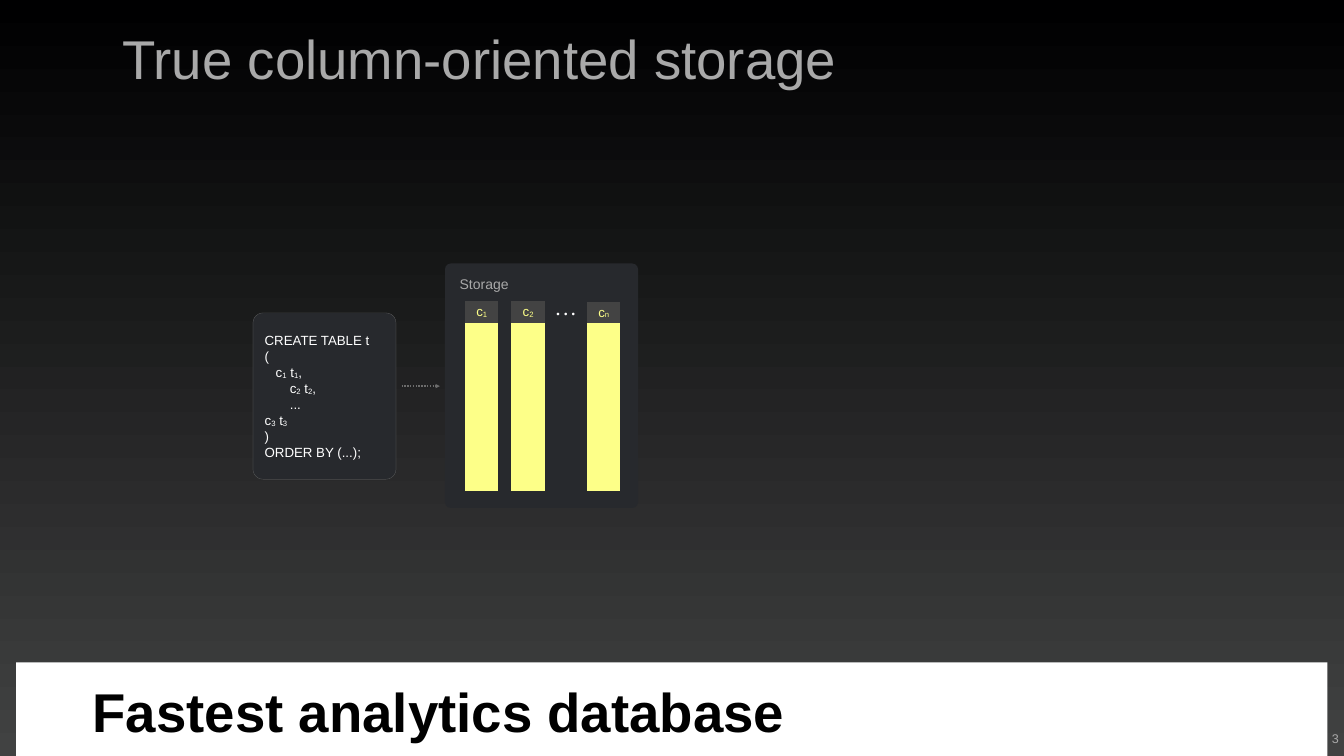
import pptx
import pptx.dml.color
import pptx.enum.dml
import pptx.enum.shapes
import pptx.enum.text
import pptx.oxml
import pptx.oxml.ns
import pptx.util

Cm = pptx.util.Cm
Pt = pptx.util.Pt
SHAPE = pptx.enum.shapes.MSO_SHAPE
ALIGN = pptx.enum.text.PP_ALIGN
ANCHOR = pptx.enum.text.MSO_ANCHOR

COLOURS = {
    "top": "000001", "bottom": "414242", "white": "FFFFFF", "black": "000000",
    "muted": "A9A9A9", "panel": "27292D", "edge": "6C6C6C",
    "header": "434343", "yellow": "FDFF88",
}
NO_TABLE_STYLE = "{2D5ABB26-0587-4C30-8999-92F81FD0307C}"


def rgb(name):
    return pptx.dml.color.RGBColor.from_string(COLOURS[name])


def element(tag, **attributes):
    node = pptx.oxml.parse_xml(f"<{tag} {pptx.oxml.ns.nsdecls('a')}/>")
    for key, value in attributes.items():
        node.set(key, value)
    return node


class Deck:
    """Holds the text style and the current slide."""

    font = "Arial"

    def __init__(self, width, height):
        self.file = pptx.Presentation()
        self.file.slide_width = Cm(width)
        self.file.slide_height = Cm(height)
        self.slide = self.file.slides.add_slide(self.file.slide_layouts[6])

    def background(self, *names):
        fill = self.slide.background.fill
        fill.gradient()
        fill.gradient_angle = 270
        for stop, name in zip(fill.gradient_stops, names):
            stop.color.rgb = rgb(name)

    def add_runs(self, paragraph, pieces, size, colour, bold=False, font=None, spacing=0):
        """Add the pieces as runs; every second piece is a subscript."""
        for index, piece in enumerate(pieces):
            for number, line in enumerate(piece.split("\n")):
                if number:
                    paragraph.add_line_break()
                run = paragraph.add_run()
                run.text = line
                run.font.size = Pt(size)
                run.font.name = font or self.font
                run.font.bold = bold
                run.font.color.rgb = rgb(colour)
                if index % 2:
                    run.font._element.set("baseline", "-6000")
                if spacing:
                    run.font._element.set("spc", str(spacing))

    def text(self, box, lines, size, colour, align=ALIGN.LEFT, anchor=ANCHOR.MIDDLE,
             margin=0.15, wrap=False, leading=None, **style):
        """Add a text box; lines are (first-line indent in cm, pieces)."""
        frame = self.slide.shapes.add_textbox(*map(Cm, box)).text_frame
        frame.word_wrap = wrap
        frame.auto_size = pptx.enum.text.MSO_AUTO_SIZE.SHAPE_TO_FIT_TEXT
        frame.vertical_anchor = anchor
        frame.margin_left = frame.margin_right = Cm(margin)
        frame.margin_top = frame.margin_bottom = Cm(margin)
        for number, (indent, pieces) in enumerate(lines):
            paragraph = frame.add_paragraph() if number else frame.paragraphs[0]
            paragraph.alignment = align
            paragraph.line_spacing = leading
            if indent:
                properties = paragraph._p.get_or_add_pPr()
                properties.set("marL", "0")
                properties.set("indent", str(Cm(indent)))
            self.add_runs(paragraph, pieces, size, colour, **style)

    def block(self, kind, box, fill, line=None, radius=None):
        shape = self.slide.shapes.add_shape(kind, *map(Cm, box))
        shape.shadow.inherit = False
        shape.fill.solid()
        shape.fill.fore_color.rgb = rgb(fill)
        if radius is not None:
            shape.adjustments[0] = radius
        if line:
            shape.line.color.rgb = rgb(line)
            shape.line.width = Pt(0.25)
        else:
            shape.line.fill.background()

    def arrow(self, left, right, y, colour):
        arrow = self.slide.shapes.add_connector(
            pptx.enum.shapes.MSO_CONNECTOR.STRAIGHT, Cm(left), Cm(y), Cm(right), Cm(y))
        arrow.line.color.rgb = rgb(colour)
        arrow.line.width = Pt(2)
        arrow.line.dash_style = pptx.enum.dml.MSO_LINE.ROUND_DOT
        arrow.line._get_or_add_ln().append(element("a:tailEnd", type="triangle"))
        arrow._element.spPr.append(element("a:effectLst"))

    def column(self, left, top, subscript):
        """Add a stored column: a named header above one solid cell."""
        heights = (1.07, 8.46)
        table = self.slide.shapes.add_table(
            2, 1, Cm(left), Cm(top), Cm(1.68), Cm(sum(heights))).table
        table._tbl.tblPr.find(pptx.oxml.ns.qn("a:tableStyleId")).text = NO_TABLE_STYLE
        for index, (height, fill) in enumerate(zip(heights, ("header", "yellow"))):
            table.rows[index].height = Cm(height)
            cell = table.cell(index, 0)
            cell.fill.solid()
            cell.fill.fore_color.rgb = rgb(fill)
            cell.vertical_anchor = ANCHOR.MIDDLE
            cell.margin_left = cell.margin_right = 0
            cell.margin_top = cell.margin_bottom = 0
        heading = table.cell(0, 0).text_frame.paragraphs[0]
        heading.alignment = ALIGN.CENTER
        self.add_runs(heading, ["c", subscript], 19, "yellow")


def main():
    deck = Deck(67.74, 38.1)
    deck.background("top", "bottom")

    # Page number, banner and title
    deck.text((66.98, 36.7, 0.66, 1.07), [(0, ["3"])], 18, "muted",
              ALIGN.CENTER, ANCHOR.BOTTOM)
    deck.block(SHAPE.RECTANGLE, (0.81, 33.38, 66.09, 4.72), "white")
    deck.text((4.52, 34.21, 35.18, 3.61), [(0, ["Fastest analytics database"])],
              78, "black", leading=0.9, bold=True)
    deck.text((6.02, 1.32, 36.32, 3.61), [(0, ["True column-oriented storage"])],
              78, "muted", leading=0.9)

    # Table definition
    deck.block(SHAPE.ROUNDED_RECTANGLE, (12.75, 15.77, 7.21, 8.38), "panel", "edge", 0.07)
    statement = [
        (0, ["CREATE TABLE t"]),
        (0, ["("]),
        (0, ["   c", "1", " t", "1", ","]),
        (1.27, ["c", "2", " t", "2", ","]),
        (1.27, ["...\nc", "3", " t", "3"]),
        (0, [")"]),
        (0, ["ORDER BY (...);"]),
    ]
    deck.text((13.34, 16.71, 5.33, 6.5), statement, 19, "white", margin=0, wrap=True)
    deck.arrow(20.24, 22.17, 19.46, "edge")

    # Storage with one block per column
    deck.block(SHAPE.ROUNDED_RECTANGLE, (22.43, 13.28, 9.73, 12.32), "panel", radius=0.03)
    deck.text((23.01, 13.77, 2.79, 1.12), [(0, ["Storage"])], 20, "muted", ALIGN.CENTER)
    for left, top, subscript in ((23.44, 15.19, "1"), (25.78, 15.19, "2"), (29.59, 15.21, "n")):
        deck.column(left, top, subscript)
    deck.text((27.46, 15.42, 2.11, 0.76), [(0, ["•••"])], 13, "white", ALIGN.CENTER,
              margin=0, wrap=True, bold=True, font="Courier New", spacing=310)

    deck.file.save("out.pptx")


if __name__ == "__main__":
    main()
